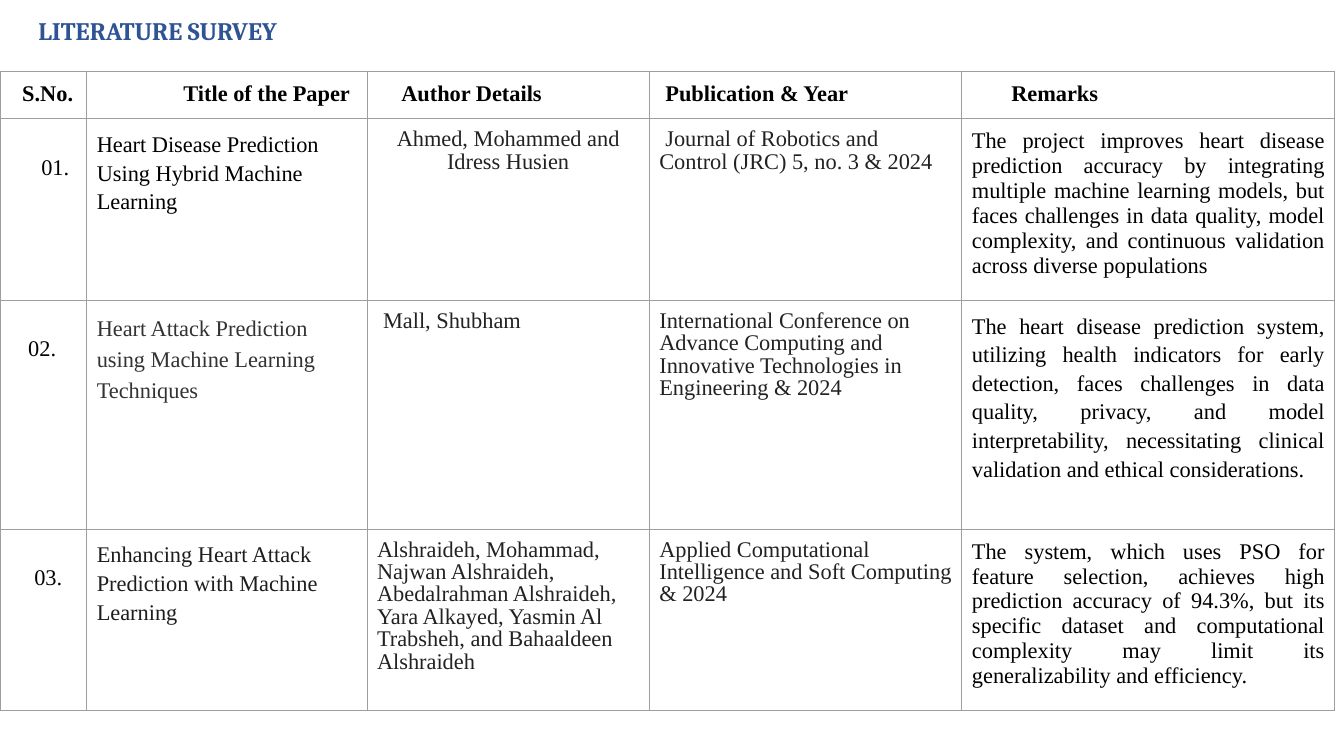
from dataclasses import dataclass

from lxml.etree import SubElement
from pptx import Presentation
from pptx.dml.color import RGBColor
from pptx.enum.text import MSO_ANCHOR, MSO_AUTO_SIZE, PP_ALIGN as Align
from pptx.oxml.ns import qn
from pptx.util import Inches, Pt

COLORS = {
    "title": "2F5496",
    "black": "000000",
    "author": "222222",
    "gray": "333333",
    "ink": "1C1D1E",
    "border": "9E9E9E",
}
TITLE_FONT, TABLE_FONT = "Cambria", "Times New Roman"
COLUMN_WIDTHS = (0.86, 2.78, 2.8, 3.1, 3.7)
ROW_HEIGHTS = (0.47, 1.8, 2.27, 1.8)
INSET = 0.1
NUMBER_INSET = 0.36


@dataclass
class Entry:
    """Text of one table cell with its formatting."""
    text: str
    indent: float = 0
    color: str = "black"
    spacing: float = 1.0
    align: Align = Align.LEFT
    bold: bool = False
    top: float = INSET


def heading(text, indent):
    """Return a column heading."""
    return Entry(text, indent, bold=True)


def number(text, indent):
    """Return a serial number set one line below the cell top."""
    return Entry(text, indent, top=NUMBER_INSET)


def paper(text, color, spacing=1.15):
    """Return a paper title."""
    return Entry(text, color=color, spacing=spacing)


def citation(text, indent=0, align=Align.LEFT):
    """Return author or publication details."""
    return Entry(text, indent, "author", 0.9, align)


def remark(text, spacing=1.0):
    """Return a justified remark."""
    return Entry(text, spacing=spacing, align=Align.JUSTIFY)


SURVEY = (
    (
        heading("S.No.", 0.12),
        heading("Title of the Paper", 0.86),
        heading("Author Details", 0.24),
        heading("Publication & Year", 0.06),
        heading("Remarks", 0.39),
    ),
    (
        number("01.", 0.31),
        paper("Heart Disease Prediction Using Hybrid Machine Learning", "black"),
        citation("Ahmed, Mohammed and Idress Husien", align=Align.CENTER),
        citation("Journal of Robotics and Control (JRC) 5, no. 3 & 2024", 0.06),
        remark("The project improves heart disease prediction accuracy by "
               "integrating multiple machine learning models, but faces "
               "challenges in data quality, model complexity, and continuous "
               "validation across diverse populations"),
    ),
    (
        number("02.", 0.18),
        paper("Heart Attack Prediction using Machine Learning Techniques",
              "gray", 1.24),
        citation("Mall, Shubham", 0.06),
        citation("International Conference on Advance Computing and Innovative "
                 "Technologies in Engineering & 2024"),
        remark("The heart disease prediction system, utilizing health "
               "indicators for early detection, faces challenges in data "
               "quality, privacy, and model interpretability, necessitating "
               "clinical validation and ethical considerations.", 1.15),
    ),
    (
        number("03.", 0.24),
        paper("Enhancing Heart Attack Prediction with Machine Learning", "ink"),
        citation("Alshraideh, Mohammad, Najwan Alshraideh, Abedalrahman "
                 "Alshraideh, Yara Alkayed, Yasmin Al Trabsheh, and Bahaaldeen "
                 "Alshraideh"),
        citation("Applied Computational Intelligence and Soft Computing & 2024"),
        remark("The system, which uses PSO for feature selection, achieves "
               "high prediction accuracy of 94.3%, but its specific dataset "
               "and computational complexity may limit its generalizability "
               "and efficiency."),
    ),
)


def add_span(para, text, font, size, color, bold):
    """Add one formatted run to a paragraph."""
    span = para.add_run()
    span.text = text
    span.font.name = font
    span.font.size = Pt(size)
    span.font.bold = bold
    span.font.color.rgb = RGBColor.from_string(COLORS[color])


def add_borders(cell):
    """Draw thin lines on all four sides of a cell."""
    properties = cell._tc.get_or_add_tcPr()
    for side in ("lnL", "lnR", "lnT", "lnB"):
        line = SubElement(properties, qn(f"a:{side}"), w=str(Pt(0.75)))
        fill = SubElement(line, qn("a:solidFill"))
        SubElement(fill, qn("a:srgbClr"), val=COLORS["border"])


def fill_cell(cell, entry):
    """Write an entry into a table cell."""
    add_borders(cell)
    cell.fill.background()
    cell.margin_left = cell.margin_right = cell.margin_bottom = Inches(INSET)
    cell.margin_top = Inches(entry.top)
    cell.vertical_anchor = MSO_ANCHOR.TOP
    para = cell.text_frame.paragraphs[0]
    para.alignment = entry.align
    para.line_spacing = entry.spacing
    para._p.get_or_add_pPr().set("indent", str(Inches(entry.indent)))
    add_span(para, entry.text, TABLE_FONT, 16, entry.color, entry.bold)


def add_title(page, left, top, width, height):
    """Place the slide title in the given box."""
    box = page.shapes.title
    box.left, box.top = Inches(left), Inches(top)
    box.width, box.height = Inches(width), Inches(height)
    frame = box.text_frame
    frame.word_wrap = True
    frame.auto_size = MSO_AUTO_SIZE.NONE
    frame.vertical_anchor = MSO_ANCHOR.MIDDLE
    para = frame.paragraphs[0]
    para.alignment = Align.LEFT
    para.line_spacing = 1.5
    add_span(para, "LITERATURE SURVEY", TITLE_FONT, 18, "title", True)


def add_survey(page, left, top):
    """Place the survey table at the given corner."""
    table = page.shapes.add_table(
        len(ROW_HEIGHTS), len(COLUMN_WIDTHS), Inches(left), Inches(top),
        Inches(sum(COLUMN_WIDTHS)), Inches(sum(ROW_HEIGHTS))).table
    table.first_row = table.horz_banding = False
    for column, width in zip(table.columns, COLUMN_WIDTHS):
        column.width = Inches(width)
    for row, height, entries in zip(table.rows, ROW_HEIGHTS, SURVEY):
        row.height = Inches(height)
        for cell, entry in zip(row.cells, entries):
            fill_cell(cell, entry)


def main():
    """Build and save the deck."""
    deck = Presentation()
    deck.slide_width, deck.slide_height = Inches(13.33), Inches(7.5)
    page = deck.slides.add_slide(deck.slide_layouts[5])
    add_title(page, 0.28, -0.11, 4.29, 0.67)
    add_survey(page, 0, 0.71)
    deck.save("out.pptx")


if __name__ == "__main__":
    main()
